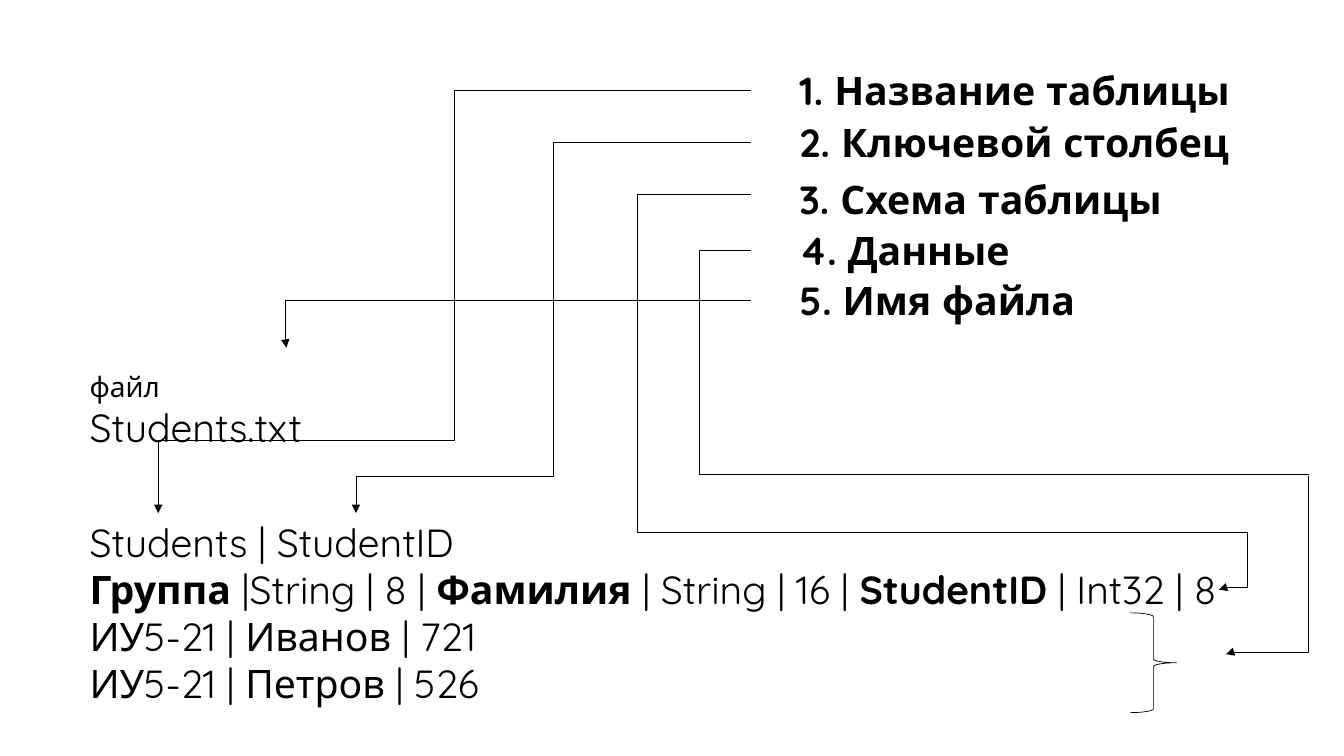
from lxml import etree
from pptx import Presentation
from pptx.dml.color import RGBColor
from pptx.enum.shapes import MSO_CONNECTOR, MSO_SHAPE
from pptx.oxml.ns import qn
from pptx.util import Inches, Pt

BLACK = RGBColor(0, 0, 0)
FONT = "Quicksand"
STRAIGHT = MSO_CONNECTOR.STRAIGHT
ELBOW = MSO_CONNECTOR.ELBOW
BRACE = MSO_SHAPE.RIGHT_BRACE
START = 7.45
QUARTER = 90 * 60000
LABELS = [
    ("1. Название таблицы", 0.61, 4.53),
    ("2. Ключевой столбец", 1.12, 4.53),
    ("3. Схема таблицы", 1.69, 3.84),
    ("4. Данные", 2.2, 3.84),
    ("5. Имя файла", 2.69, 3.84),
]
ROWS = [
    [("Students | StudentID", False)],
    [
        ("Группа", True),
        (" |String | 8 | ", False),
        ("Фамилия", True),
        (" | String | 16 | ", False),
        ("StudentID", True),
        (" | Int32 | 8", False),
    ],
    [("ИУ5-21 | Иванов | 721", False)],
    [("ИУ5-21 | Петров | 526", False)],
]
BENDS = [
    (0.9, 1.57, 4.37, 4.51, False),
    (1.41, 3.53, 4.73, 5.49, False),
    (1.93, 12.37, 5.28, 6.32, False),
    (2.48, 12.98, 4.71, 6.94, False),
    (2.98, 2.84, 3.45, 2.83, True),
]
HOOKS = [(12.37, 5.28, 12.09, 5.85), (12.98, 4.72, 12.16, 6.49)]
DROPS = [(1.57, 4.37, 5.09), (3.53, 4.72, 5.09)]


def style(run, size=28, bold=False):
    run.font.name = FONT
    run.font.size = Pt(size)
    run.font.bold = bold
    run.font.color.rgb = BLACK


def add_box(slide, left, top, width, height):
    box = slide.shapes.add_textbox(
        Inches(left), Inches(top), Inches(width), Inches(height))
    box.text_frame.word_wrap = True
    return box.text_frame


def add_labels(slide, left):
    for text, top, width in LABELS:
        frame = add_box(slide, left, top, width, 0.57)
        frame.text = text
        style(frame.paragraphs[0].runs[0], bold=True)


def add_file(slide, left, top, width, height):
    para = add_box(slide, left, top, width, height).paragraphs[0]
    for text, size in [("файл ", 20), ("Students.txt", 28)]:
        run = para.add_run()
        run.text = text
        style(run, size)


def add_data(slide, left, top, width, height):
    frame = add_box(slide, left, top, width, height)
    for index, row in enumerate(ROWS):
        para = frame.add_paragraph() if index else frame.paragraphs[0]
        for text, bold in row:
            run = para.add_run()
            run.text = text
            style(run, bold=bold)


def add_line(slide, x1, y1, x2, y2, kind=STRAIGHT, arrow=False):
    line = slide.shapes.add_connector(
        kind, Inches(x1), Inches(y1), Inches(x2), Inches(y2))
    line.line.color.rgb = BLACK
    line.line.width = Pt(0.5)
    props = line._element.spPr
    if arrow:
        tail = etree.SubElement(props.find(qn("a:ln")), qn("a:tailEnd"))
        tail.set("type", "triangle")
    etree.SubElement(props, qn("a:effectLst"))
    return line


def set_turn(line, ratio):
    geom = line._element.spPr.find(qn("a:prstGeom"))
    guide = etree.SubElement(geom.find(qn("a:avLst")), qn("a:gd"))
    guide.set("name", "adj1")
    guide.set("fmla", f"val {round(ratio * 100000)}")


def add_bend(slide, y1, x2, y2, turn, arrow):
    line = add_line(slide, START, y1, x2, y2, ELBOW, arrow)
    set_turn(line, (turn - START) / (x2 - START))


def add_hook(slide, x1, y1, x2, y2):
    mid_x, mid_y = (x1 + x2) / 2, (y1 + y2) / 2
    half_w, half_h = (y2 - y1) / 2, (x1 - x2) / 2
    line = add_line(slide, mid_x - half_w, mid_y - half_h,
                    mid_x + half_w, mid_y + half_h, ELBOW, True)
    line._element.spPr.find(qn("a:xfrm")).set("rot", str(QUARTER))
    set_turn(line, 1 - 0.01 / half_w / 2 * 2)


def add_links(slide):
    for bend in BENDS:
        add_bend(slide, *bend)
    for hook in HOOKS:
        add_hook(slide, *hook)
    for x, top, end in DROPS:
        add_line(slide, x, top, x, end, arrow=True)


def add_brace(slide, left, top, width, height):
    brace = slide.shapes.add_shape(
        BRACE, Inches(left), Inches(top), Inches(width), Inches(height))
    brace.shadow.inherit = False
    brace.fill.background()
    brace.line.color.rgb = BLACK
    brace.line.width = Pt(0.5)


def main():
    deck = Presentation()
    deck.slide_width = Inches(13.33)
    deck.slide_height = Inches(7.5)
    slide = deck.slides.add_slide(deck.slide_layouts[6])
    add_file(slide, 0.79, 3.62, 2.7, 0.57)
    add_data(slide, 0.79, 5.09, 11.8, 1.99)
    add_labels(slide, 7.83)
    add_links(slide)
    add_brace(slide, 11.21, 6.08, 0.46, 0.99)
    deck.save("out.pptx")


if __name__ == "__main__":
    main()
